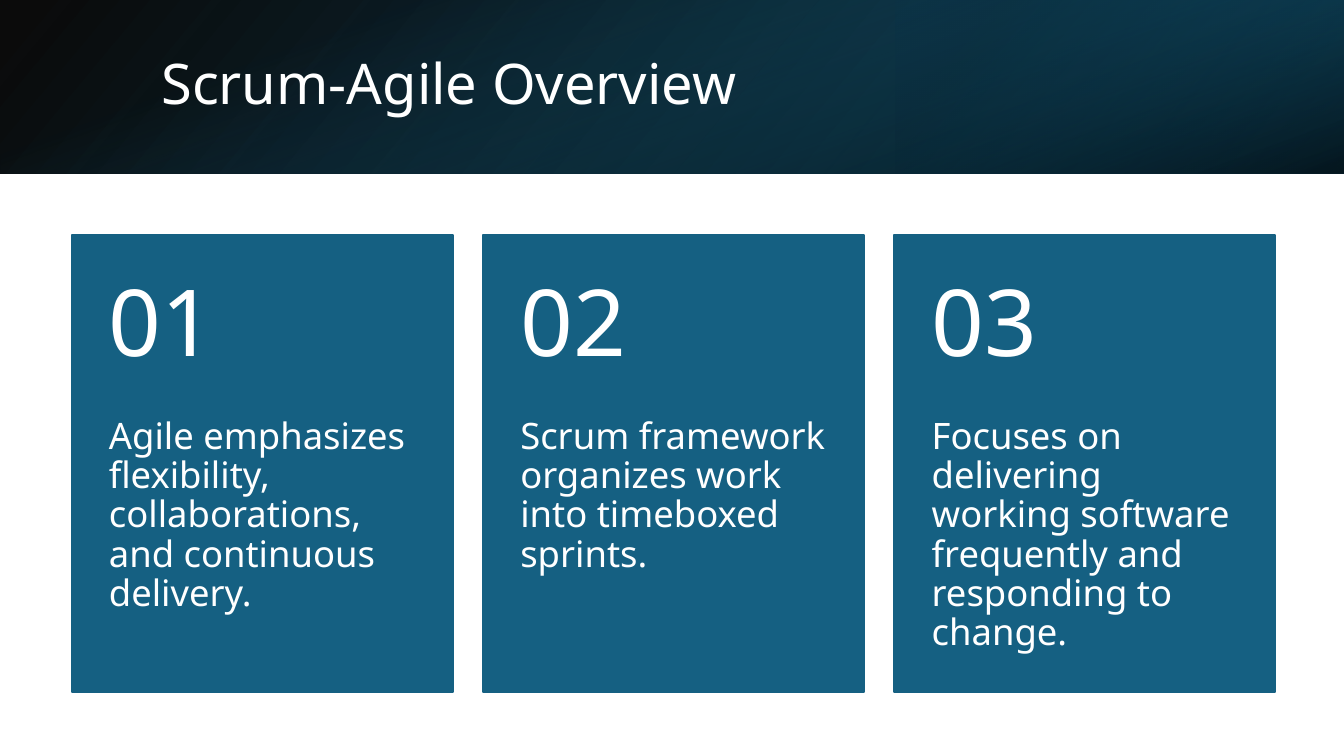
from lxml.etree import SubElement
from pptx import Presentation
from pptx.dml.color import RGBColor
from pptx.enum.shapes import MSO_SHAPE
from pptx.enum.text import MSO_ANCHOR, PP_ALIGN
from pptx.oxml.ns import qn
from pptx.util import Inches, Pt

TITLE = "Scrum-Agile Overview"
POINTS = [
    "Agile emphasizes flexibility, collaborations, and continuous delivery.",
    "Scrum framework organizes work into timeboxed sprints.",
    "Focuses on delivering working software frequently and responding to change.",
]
COLORS = {"white": "FFFFFF", "black": "000000", "card": "156082",
          "ocean": "104862", "deep": "0B3041"}
FONT = "Noto Sans"

# Lengths in inches
WIDTH, HEIGHT = 13.33, 7.5
BANNER = 1.72
CARD_LEFT, CARD_TOP, CARD_WIDTH, CARD_HEIGHT = 0.71, 2.33, 3.78, 4.54
CARD_PITCH = CARD_WIDTH + 0.3
NUMBER_HEIGHT = CARD_HEIGHT * 0.4
SIDE_INSET = 0.37

# Each layer: frame, rotation, flipped, clockwise angle, (position, color, opacity %) stops
BANNER_LAYERS = [
    ((0, 0, WIDTH, BANNER), 0, True, 140,
     [(0, "black", 96), (1, "ocean", 100)][:1] + [(1, "ocean", 100)]),
    ((WIDTH * 2 / 3, 0, WIDTH / 3, BANNER), 180, True, 320,
     [(0.19, "deep", 68), (1, "card", 79)]),
    (((WIDTH - BANNER) / 2, (BANNER - WIDTH) / 2, BANNER, WIDTH), 90, False, 340,
     [(0.23, "card", 0), (0.99, "black", 74)]),
]
BANNER_LAYERS[0] = BANNER_LAYERS[0][:4] + ([(0, "black", 96), (1, "ocean", 100)],)


def rgb(name):
    return RGBColor.from_string(COLORS[name])


def add_rectangle(shapes, frame):
    box = shapes.add_shape(MSO_SHAPE.RECTANGLE, *map(Inches, frame))
    box.shadow.inherit = False
    return box


def add_banner_layer(shapes, frame, rotation, flipped, angle, stops):
    layer = add_rectangle(shapes, frame)
    layer.line.fill.background()
    layer.rotation = rotation
    if flipped:
        layer._element.spPr.find(qn("a:xfrm")).set("flipH", "1")
    layer.fill.gradient()
    layer.fill.gradient_angle = 360 - angle
    for stop, (position, color, _) in zip(layer.fill.gradient_stops, stops):
        stop.position = position
        stop.color.rgb = rgb(color)
    swatches = layer._element.spPr.iter(qn("a:srgbClr"))
    for swatch, (_, _, opacity) in zip(list(swatches), stops):
        SubElement(swatch, qn("a:alpha")).set("val", str(opacity * 1000))


def write(frame, text, size, anchor):
    frame.word_wrap = True
    frame.vertical_anchor = anchor
    para = frame.paragraphs[0]
    para.alignment = PP_ALIGN.LEFT
    para.line_spacing = 0.9
    span = para.add_run()
    span.text = text
    span.font.size = Pt(size)
    span.font.name = FONT
    span.font.color.rgb = rgb("white")


def add_card_text(shapes, place, text, size, anchor, top_inset, bottom_inset):
    frame = shapes.add_textbox(*map(Inches, place)).text_frame
    frame.margin_left = frame.margin_right = Inches(SIDE_INSET)
    frame.margin_top, frame.margin_bottom = Inches(top_inset), Inches(bottom_inset)
    write(frame, text, size, anchor)


def add_card(shapes, index, text):
    left = CARD_LEFT + index * CARD_PITCH
    card = add_rectangle(shapes, (left, CARD_TOP, CARD_WIDTH, CARD_HEIGHT))
    card.fill.solid()
    card.fill.fore_color.rgb = rgb("card")
    card.line.color.rgb = rgb("card")
    card.line.width = Pt(1.5)
    add_card_text(shapes, (left, CARD_TOP + NUMBER_HEIGHT, CARD_WIDTH, CARD_HEIGHT - NUMBER_HEIGHT),
                  text, 26, MSO_ANCHOR.TOP, 0, 0.36)
    add_card_text(shapes, (left, CARD_TOP, CARD_WIDTH, NUMBER_HEIGHT),
                  f"{index + 1:02}", 66, MSO_ANCHOR.MIDDLE, 0.18, 0.18)


def main():
    deck = Presentation()
    deck.slide_width, deck.slide_height = Inches(WIDTH), Inches(HEIGHT)
    page = deck.slides.add_slide(deck.slide_layouts[5])
    for layer in BANNER_LAYERS:
        add_banner_layer(page.shapes, *layer)

    title = page.shapes.title
    title.left, title.top, title.width, title.height = map(Inches, (1.5, 0.38, 10.98, 0.96))
    write(title.text_frame, TITLE, 40, MSO_ANCHOR.MIDDLE)
    page.shapes._spTree.append(title._element)  # in front of the banner

    cards = page.shapes.add_group_shape()
    for index, text in enumerate(POINTS):
        add_card(cards.shapes, index, text)
    deck.save("out.pptx")


if __name__ == "__main__":
    main()
